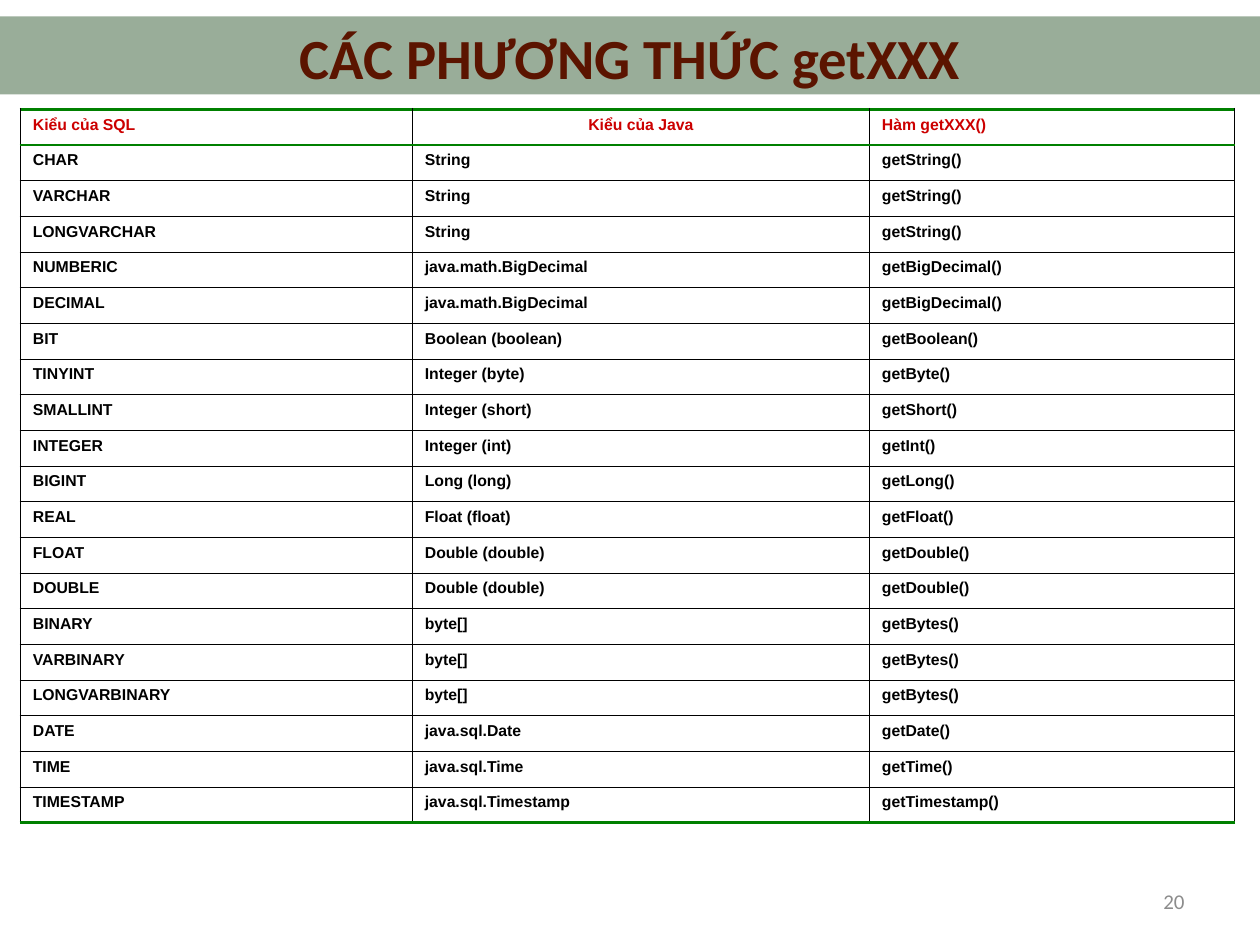
"""Build the slide that maps SQL types to Java types and getXXX methods."""
import lxml.etree
import pptx
import pptx.dml.color
import pptx.enum.shapes
import pptx.enum.text
import pptx.oxml.ns
import pptx.util

Pt = pptx.util.Pt
ALIGN = pptx.enum.text.PP_ALIGN
qn = pptx.oxml.ns.qn


def rgb(value):
    return pptx.dml.color.RGBColor.from_string(value)


class Deck:
    black, green, red = "000000", "008000", "CC0000"
    title_color, number_color, band_color = "990000", "8C8C8C", "003300"
    heading_font, body_font = "Calibri", "Arial"

    def __init__(self, slide):
        self.s = slide

    def format(self, p, font, size, color, bold, align):
        p.alignment = align
        for r in p.runs:
            r.font.name = font
            r.font.size = Pt(size)
            r.font.bold = bold
            r.font.color.rgb = rgb(color)

    def text(self, box, text, size, color, bold, align):
        sp = self.s.shapes.add_textbox(*map(Pt, box))
        tf = sp.text_frame
        tf.word_wrap = True
        tf.vertical_anchor = pptx.enum.text.MSO_ANCHOR.MIDDLE
        tf.text = text
        self.format(tf.paragraphs[0], self.heading_font, size, color, bold, align)

    def band(self, box, alpha):
        sp = self.s.shapes.add_shape(
            pptx.enum.shapes.MSO_SHAPE.RECTANGLE, *map(Pt, box))
        sp.shadow.inherit = False
        sp.line.fill.background()
        sp.fill.solid()
        sp.fill.fore_color.rgb = rgb(self.band_color)
        color = sp.fill._xPr.find(".//" + qn("a:srgbClr"))
        lxml.etree.SubElement(color, qn("a:alpha"), val=str(alpha * 1000))

    def borders(self, cell, top, bottom):
        side = (self.black, 0.75)
        tc_pr = cell._tc.get_or_add_tcPr()
        edges = {"a:lnL": side, "a:lnR": side, "a:lnT": top, "a:lnB": bottom}
        for i, (tag, (color, width)) in enumerate(edges.items()):
            ln = lxml.etree.SubElement(tc_pr, qn(tag), w=str(Pt(width)))
            fill = lxml.etree.SubElement(ln, qn("a:solidFill"))
            lxml.etree.SubElement(fill, qn("a:srgbClr"), val=color)
            tc_pr.insert(i, ln)

    def cell(self, cell, text, color, align):
        cell.fill.background()
        cell.text = text
        p = cell.text_frame.paragraphs[0]
        self.format(p, self.body_font, 9, color, True, align)
        p_pr = p._p.get_or_add_pPr()
        p_pr.set("marL", str(Pt(27)))
        p_pr.set("indent", str(Pt(-27)))

    def table(self, left, top, widths, row_height, rows):
        table = self.s.shapes.add_table(
            len(rows), len(widths), Pt(left), Pt(top),
            Pt(sum(widths)), Pt(row_height * len(rows))).table
        table.horz_banding = False
        for column, width in zip(table.columns, widths):
            column.width = Pt(width)
        thin, rule, edge = (self.black, 0.75), (self.green, 1), (self.green, 2)
        lines = [edge, rule] + [thin] * (len(rows) - 2) + [edge]
        for i, row in enumerate(rows):
            table.rows[i].height = Pt(row_height)
            for j, text in enumerate(row):
                cell = table.cell(i, j)
                centred = i == 0 and j == 1
                self.cell(cell, text, self.black if i else self.red,
                          ALIGN.CENTER if centred else ALIGN.JUSTIFY)
                self.borders(cell, lines[i], lines[i + 1])


TYPES = [
    ("Kiểu của SQL", "Kiểu của Java", "Hàm getXXX()"),
    ("CHAR", "String", "getString()"),
    ("VARCHAR", "String", "getString()"),
    ("LONGVARCHAR", "String", "getString()"),
    ("NUMBERIC", "java.math.BigDecimal", "getBigDecimal()"),
    ("DECIMAL", "java.math.BigDecimal", "getBigDecimal()"),
    ("BIT", "Boolean (boolean)", "getBoolean()"),
    ("TINYINT", "Integer (byte)", "getByte()"),
    ("SMALLINT", "Integer (short)", "getShort()"),
    ("INTEGER", "Integer (int)", "getInt()"),
    ("BIGINT", "Long (long)", "getLong()"),
    ("REAL", "Float (float)", "getFloat()"),
    ("FLOAT", "Double (double)", "getDouble()"),
    ("DOUBLE", "Double (double)", "getDouble()"),
    ("BINARY", "byte[]", "getBytes()"),
    ("VARBINARY", "byte[]", "getBytes()"),
    ("LONGVARBINARY", "byte[]", "getBytes()"),
    ("DATE", "java.sql.Date", "getDate()"),
    ("TIME", "java.sql.Time", "getTime()"),
    ("TIMESTAMP", "java.sql.Timestamp", "getTimestamp()"),
]

prs = pptx.Presentation()
prs.slide_width, prs.slide_height = Pt(720), Pt(540)
deck = Deck(prs.slides.add_slide(prs.slide_layouts[6]))
deck.text((0, 17.3, 720, 30.2), "CÁC PHƯƠNG THỨC getXXX", 32.4,
          deck.title_color, True, ALIGN.CENTER)
deck.table(11.6, 62.6, (224, 261.2, 208.9), 20.4, TYPES)
deck.text((516, 500.5, 168, 28.8), "20", 12, deck.number_color, False, ALIGN.RIGHT)
deck.band((0, 9.4, 720, 44.6), 40)
prs.save("out.pptx")
